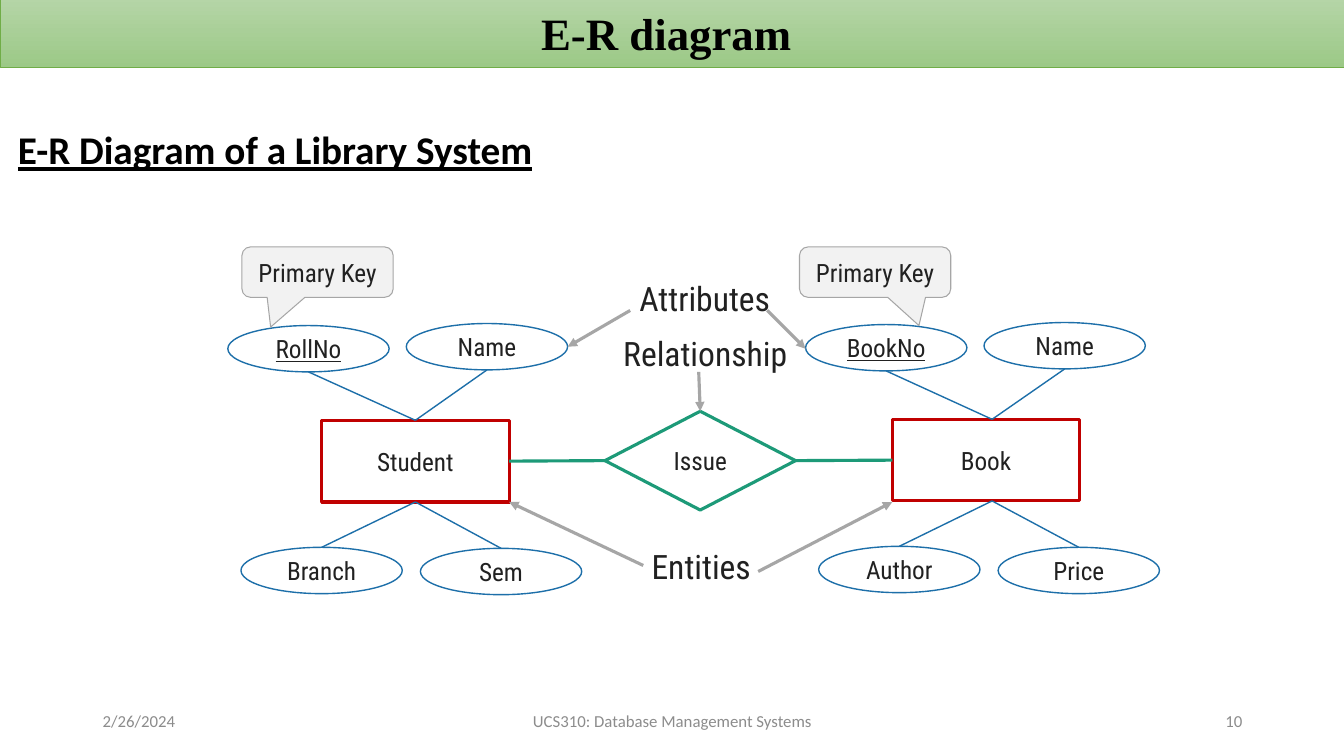
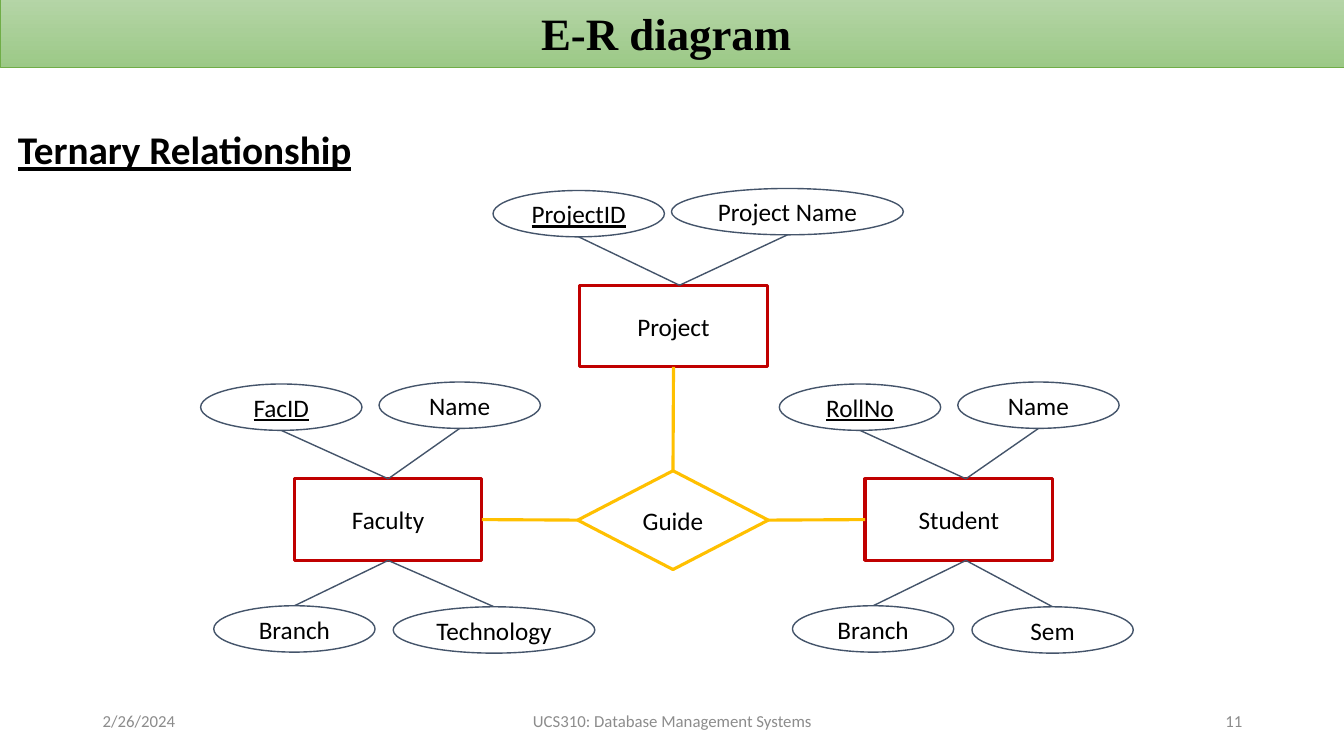
from lxml import etree
from pptx import Presentation
from pptx import util as u
from pptx.dml import color as dml
from pptx.enum import shapes, text
from pptx.oxml import ns

SCALE = 9144
COLORS = {
    "black": "000000", "ink": "212121", "white": "FFFFFF", "grey": "A6A6A6",
    "pale": "F2F2F2", "footer": "8C8C8C", "red": "C00000", "blue": "1D6FA9",
    "slate": "44546A", "green": "1D9A78", "amber": "FFC000",
    "band_top": "B5D5A7", "band_bottom": "9CC987", "band_line": "70AD47",
}
LIBRARY = {"font": "Roboto Condensed", "ink": "ink", "attribute": "blue", "link": "green"}
TERNARY = {"font": "Calibri", "ink": "black", "attribute": "slate", "link": "amber"}
SHAPE = shapes.MSO_SHAPE
ALIGN = text.PP_ALIGN
ANCHOR = text.MSO_ANCHOR
TOP, LEFT, BOTTOM, RIGHT = range(4)
ENTITY_W, ENTITY_H = 186, 81
OVAL_W, OVAL_H = 160, 46
SLOTS = [(-185, -94), (-8, -96), (-172, 126), (6, 127)]


def px(n):
    return u.Emu(int(n * SCALE))


def rgb(name):
    return dml.RGBColor.from_string(COLORS[name])


def assign(target, values):
    for key, value in values.items():
        setattr(target, key, value)


def write(sp, words, font, size, ink, align=ALIGN.CENTER, anchor=ANCHOR.MIDDLE, inset=0, **style):
    tf = sp.text_frame
    assign(tf, {"word_wrap": True, "vertical_anchor": anchor, "margin_left": px(inset),
                "margin_right": px(inset), "margin_top": px(5), "margin_bottom": px(5)})
    p = tf.paragraphs[0]
    p.alignment = align
    r = p.add_run()
    r.text = words
    assign(r.font, {"name": font, "size": u.Pt(size), **style})
    r.font.color.rgb = rgb(ink)
    return p


def add_text(s, box, words, font, size, ink, **options):
    sp = s.shapes.add_textbox(*map(px, box))
    return write(sp, words, font, size, ink, **options)


def add_outline(s, kind, box, line, width, fill=None):
    sp = s.shapes.add_shape(kind, *map(px, box))
    sp.shadow.inherit = False
    if fill:
        sp.fill.solid()
        sp.fill.fore_color.rgb = rgb(fill)
    else:
        sp.fill.background()
    sp.line.color.rgb = rgb(line)
    sp.line.width = u.Pt(width)
    return sp


def add_line(s, start, end, color, width, arrow=False):
    line = s.shapes.add_connector(shapes.MSO_CONNECTOR.STRAIGHT, *map(px, start + end))
    line.line.color.rgb = rgb(color)
    line.line.width = u.Pt(width)
    if arrow:
        etree.SubElement(line.line._get_or_add_ln(), ns.qn("a:tailEnd"), type="triangle")
    etree.SubElement(line._element.spPr, ns.qn("a:effectLst"))
    return line


def add_arrow(s, start, end):
    return add_line(s, start, end, "grey", 2.25, arrow=True)


def add_link(s, theme, first, first_side, second, second_side):
    line = add_line(s, (0, 0), (0, 0), theme["link"], 2.25)
    line.begin_connect(first, first_side)
    line.end_connect(second, second_side)


def add_entity(s, theme, left, top, name, attributes, shift=0):
    entity = add_outline(s, SHAPE.RECTANGLE, (left, top, ENTITY_W, ENTITY_H), "red", 2.25)
    write(entity, name, theme["font"], 18, theme["ink"])
    hub = left + 92 + shift
    for i, ((dx, dy), (label, width)) in enumerate(zip(SLOTS, attributes)):
        x, y = hub + dx, top + dy
        above = dy < 0
        start = (x + width // 2, y + OVAL_H if above else y)
        end = (hub, top if above else top + ENTITY_H)
        spoke = add_line(s, start, end, theme["attribute"], 1)
        if not shift:
            spoke.end_connect(entity, TOP if above else BOTTOM)
        oval = add_outline(s, SHAPE.OVAL, (x, y, width, OVAL_H), theme["attribute"], 1, "white")
        write(oval, label, theme["font"], 18, theme["ink"], underline=i == 0)
    return entity


def add_relationship(s, theme, left, top, name):
    diamond = add_outline(s, SHAPE.DIAMOND, (left, top, 189, 98), theme["link"], 2.25)
    write(diamond, name, theme["font"], 18, theme["ink"])
    return diamond


def add_key_callout(s, left, pointer):
    sp = add_outline(s, SHAPE.ROUNDED_RECTANGULAR_CALLOUT, (left, 245, 150, 50),
                     "grey", 0.75, "pale")
    for i, value in enumerate(pointer):
        sp.adjustments[i] = value
    write(sp, "Primary Key", LIBRARY["font"], 18, "ink")


def add_page(prs, heading, number):
    s = prs.slides.add_slide(prs.slide_layouts[6])
    band = add_outline(s, SHAPE.RECTANGLE, (0, -2, 1333, 69), "band_line", 0.5)
    band.fill.gradient()
    band.fill.gradient_angle = 270
    for stop, name in zip(band.fill.gradient_stops, ("band_top", "band_bottom")):
        stop.color.rgb = rgb(name)
    write(band, "E-R diagram ", "Times New Roman", 32, "black", bold=True)
    p = add_text(s, (8, 125, 1323, 60), heading, "Calibri", 28, "black", align=ALIGN.LEFT,
                 anchor=ANCHOR.TOP, inset=10, bold=True, underline=True)
    p.line_spacing = 0.9
    footers = [(92, 300, "2/26/2024", ALIGN.LEFT),
               (442, 450, "UCS310: Database Management Systems", ALIGN.CENTER),
               (942, 300, number, ALIGN.RIGHT)]
    for left, width, words, align in footers:
        add_text(s, (left, 695, width, 40), words, "Calibri", 12, "footer", align=align, inset=10)
    return s


def ovals(*labels):
    return [(label, OVAL_W) for label in labels]


def build_library(prs):
    s = add_page(prs, "E-R Diagram of a Library System", "10")
    student = add_entity(s, LIBRARY, 319, 417, "Student",
                         ovals("RollNo", "Name", "Branch", "Sem"))
    book = add_entity(s, LIBRARY, 885, 416, "Book",
                      ovals("BookNo", "Name", "Author", "Price"), shift=7)
    issue = add_relationship(s, LIBRARY, 600, 408, "Issue")
    add_link(s, LIBRARY, student, RIGHT, issue, LEFT)
    add_link(s, LIBRARY, issue, RIGHT, book, LEFT)
    add_key_callout(s, 240, (-0.31, 1.09, 0.17))
    add_key_callout(s, 793, (0.29, 1.06, 0.17))
    labels = [("Attributes", (610, 271, 178, 50)), ("Relationship", (593, 328, 213, 45)),
              ("Entities", (618, 537, 155, 50))]
    for words, box in labels:
        add_text(s, box, words, LIBRARY["font"], 24, "ink")
    arrows = [((752, 567), (885, 498)), ((638, 561), (505, 498)),
              ((761, 308), (799, 346)), ((625, 308), (563, 344))]
    for start, end in arrows:
        add_arrow(s, start, end)
    add_arrow(s, (693, 369), (694, 408)).end_connect(issue, TOP)


def build_ternary(prs):
    s = add_page(prs, "Ternary Relationship", "11")
    faculty = add_entity(s, TERNARY, 292, 475, "Faculty",
                         ovals("FacID", "Name", "Branch") + [("Technology", 200)])
    student = add_entity(s, TERNARY, 858, 475, "Student",
                         ovals("RollNo", "Name", "Branch", "Sem"), shift=8)
    project = add_entity(s, TERNARY, 575, 283, "Project",
                         [("ProjectID", 170), ("Project Name", 230)], shift=7)
    guide = add_relationship(s, TERNARY, 573, 467, "Guide")
    add_link(s, TERNARY, faculty, RIGHT, guide, LEFT)
    add_link(s, TERNARY, guide, RIGHT, student, LEFT)
    add_link(s, TERNARY, project, BOTTOM, guide, TOP)


def main():
    prs = Presentation()
    assign(prs, {"slide_width": px(1333), "slide_height": px(750)})
    build_library(prs)
    build_ternary(prs)
    prs.save("out.pptx")


if __name__ == "__main__":
    main()
